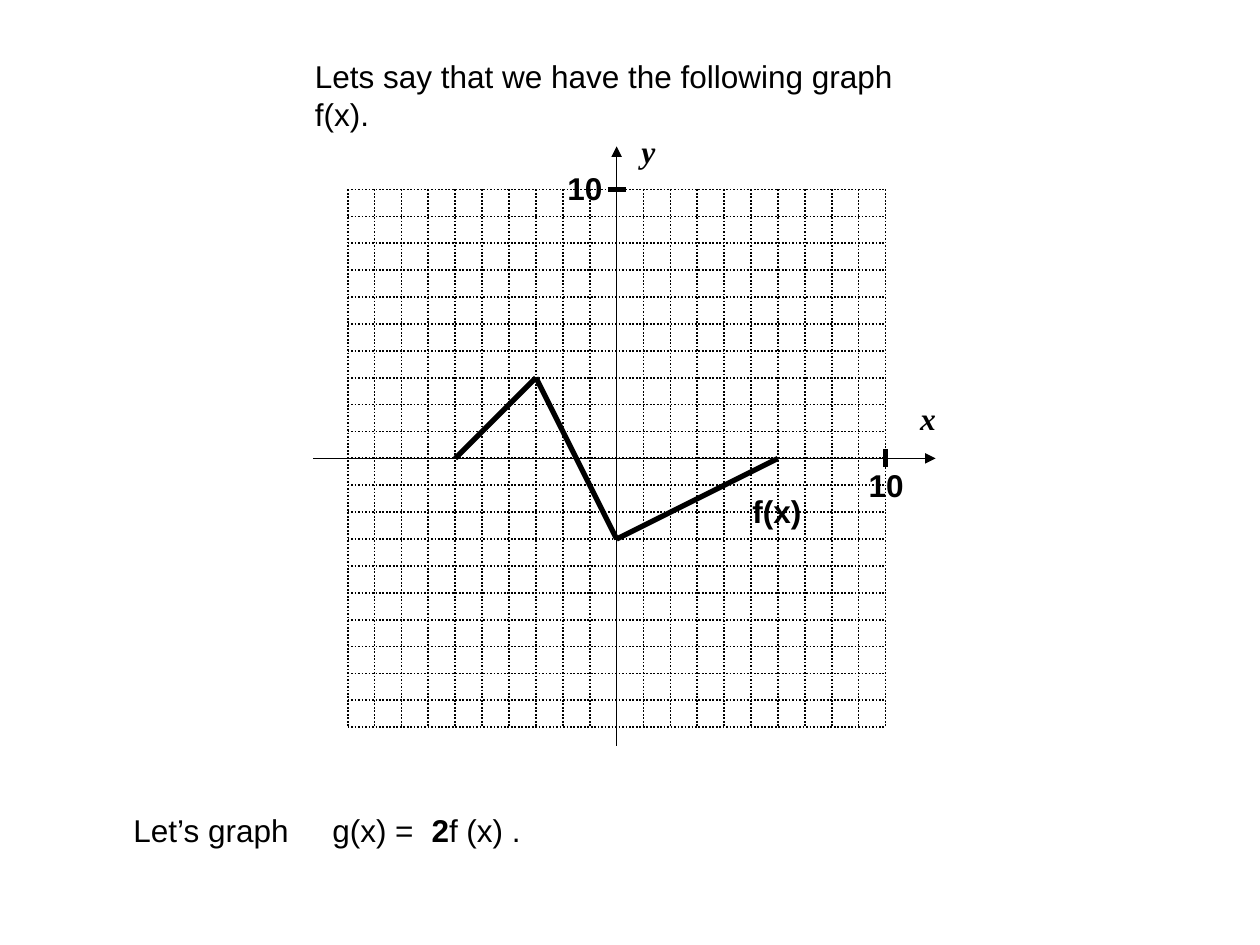
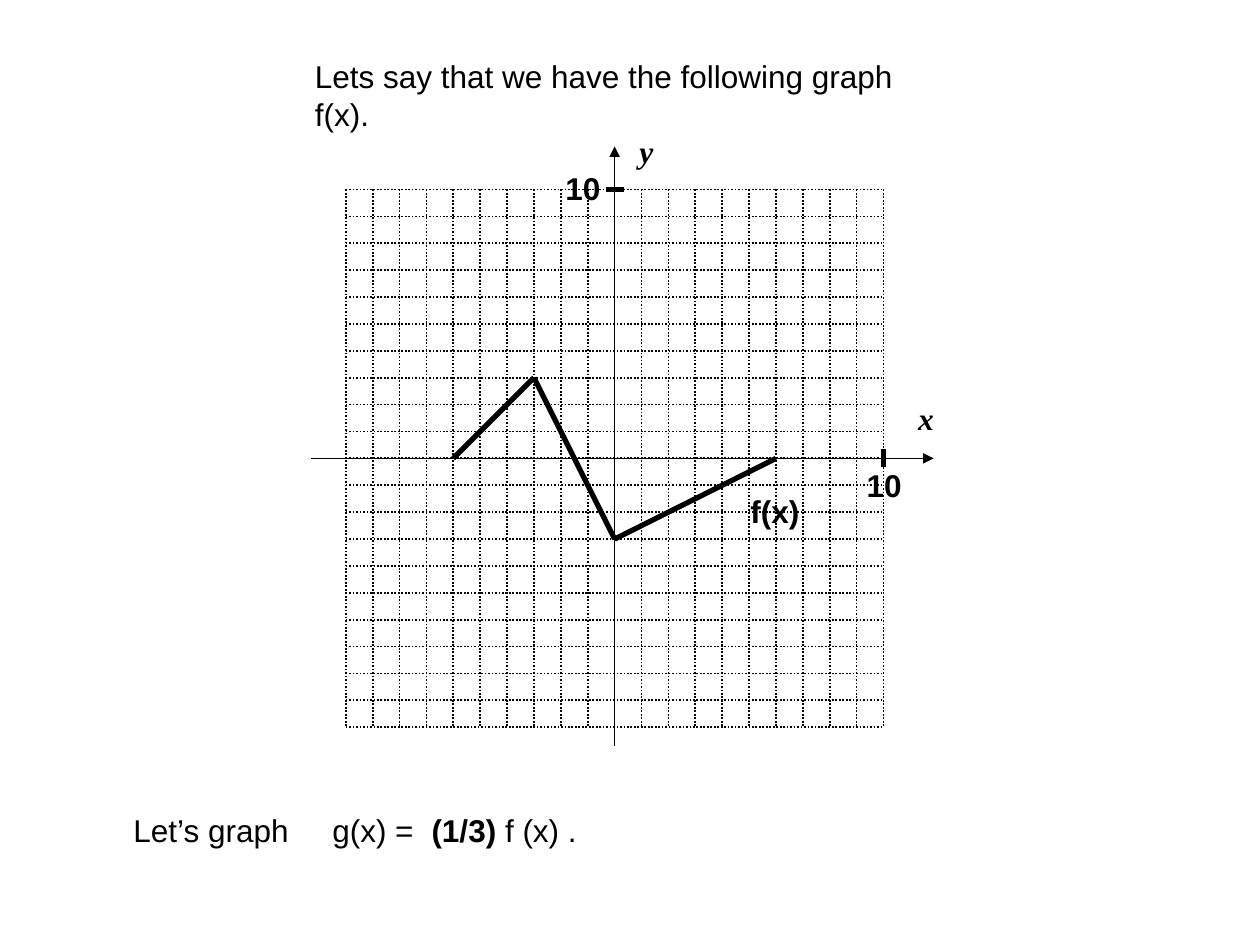
from dataclasses import dataclass

from lxml.etree import SubElement
from pptx import Presentation
from pptx.dml.color import RGBColor
from pptx.enum.dml import MSO_LINE
from pptx.enum.shapes import MSO_CONNECTOR as Connector
from pptx.enum.text import MSO_AUTO_SIZE as AutoSize
from pptx.oxml.ns import qn
from pptx.util import Cm, Pt


@dataclass(frozen=True)
class Theme:
    ink: RGBColor = RGBColor(0, 0, 0)
    paper: RGBColor = RGBColor(255, 255, 255)
    sans: str = "Arial"
    serif: str = "Times New Roman"
    text_size: float = 18
    bold_line: float = 3
    grid_line: float = 1
    axis_line: float = 0.75


THEME = Theme()

# Coordinate plane, in cm; y grows upwards in graph units
LIMIT = 10
UNIT = 10.84 / (2 * LIMIT)
ORIGIN_Y = 9.24
TICK = 0.18
LINE_HEIGHT = 1.02
F_POINTS = [(-6, 0), (-3, 3), (0, -3), (6, 0)]

# Label text, offset from the origin, width, format
AXIS_NAME = dict(bold=True, italic=True, font=THEME.serif)
PLANE_LABELS = [
    ("y", 0.25, -6.7, 0.79, AXIS_NAME),
    ("x", 5.87, -1.32, 0.81, AXIS_NAME),
    ("10", 4.83, 0.03, 1.22, dict(bold=True)),
    ("10", -1.24, -5.96, 1.22, dict(bold=True)),
    ("f(x)", 2.49, 0.56, 1.5, dict(bold=True)),
]

# Factor of f(x), rest of the formula, formula width, origin x
EXERCISES = [
    ("2", "f (x) .", 8.5, 12.43),
    ("(1/3)", " f (x) .", 9.6, 12.39),
]
FORMULA_TABS = (4.01, 6.01)


def add_run(paragraph, text, *, bold=False, italic=False, font=THEME.sans):
    run = paragraph.add_run()
    run.text = text
    run.font.name, run.font.size = font, Pt(THEME.text_size)
    run.font.bold, run.font.italic = bold, italic
    run.font.color.rgb = THEME.ink


class GraphSlide:
    """Current slide with its style and the origin of its plane."""

    def __init__(self, deck, origin_x):
        self.slide = deck.slides.add_slide(deck.slide_layouts[6])
        self.slide.background.fill.solid()
        self.slide.background.fill.fore_color.rgb = THEME.paper
        self.shapes = self.slide.shapes
        self.origin_x = origin_x

    def text(self, left, top, width, runs, tabs=()):
        box = self.shapes.add_textbox(Cm(left), Cm(top), Cm(width), Cm(LINE_HEIGHT))
        frame = box.text_frame
        frame.word_wrap = bool(tabs)
        frame.auto_size = AutoSize.SHAPE_TO_FIT_TEXT
        paragraph = frame.paragraphs[0]
        for content, style in runs:
            add_run(paragraph, content, **style)
        if tabs:
            stops = SubElement(paragraph._p.get_or_add_pPr(), qn("a:tabLst"))
            for stop in tabs:
                SubElement(stops, qn("a:tab"), pos=str(Cm(stop)), algn="l")

    def line(self, start, end, width, *, dash=None, arrow=False, group=None):
        """Draw a line between two offsets from the origin, in cm."""
        ends = [Cm(base + offset) for point in (start, end)
                for base, offset in zip((self.origin_x, ORIGIN_Y), point)]
        parent = group.shapes if group is not None else self.shapes
        stroke = parent.add_connector(Connector.STRAIGHT, *ends)
        stroke.line.color.rgb = THEME.ink
        stroke.line.width = Pt(width)
        if dash is not None:
            stroke.line.dash_style = dash
        if arrow:
            SubElement(stroke.line._get_or_add_ln(), qn("a:headEnd"), type="triangle")
        SubElement(stroke._element.spPr, qn("a:effectLst"))

    def curve(self, points):
        group = self.shapes.add_group_shape()
        places = [(x * UNIT, -y * UNIT) for x, y in points]
        for start, end in zip(places, places[1:]):
            self.line(start, end, THEME.bold_line, group=group)

    def grid(self):
        group = self.shapes.add_group_shape()
        edge = LIMIT * UNIT
        steps = [step * UNIT for step in range(-LIMIT, LIMIT + 1)]
        rules = [((at, -edge), (at, edge)) for at in steps]
        rules += [((-edge, at), (edge, at)) for at in reversed(steps)]
        for start, end in rules:
            self.line(start, end, THEME.grid_line, dash=MSO_LINE.ROUND_DOT, group=group)

    def axes(self):
        edge = LIMIT * UNIT
        self.line((0, -6.29), (0, 5.8), THEME.axis_line, arrow=True)
        self.line((6.43, 0), (-6.12, 0), THEME.axis_line, arrow=True)
        self.line((edge, -TICK), (edge, TICK), THEME.bold_line)
        self.line((-TICK, -edge), (TICK, -edge), THEME.bold_line)

    def labels(self):
        for name, dx, dy, width, style in PLANE_LABELS:
            self.text(self.origin_x + dx, ORIGIN_Y + dy, width, [(name, style)])


def build_exercise(deck, factor, rest, formula_width, origin_x):
    page = GraphSlide(deck, origin_x)
    # Statement
    page.text(6.1, 1.02, 13.41,
              [("Lets say that we have the following graph f(x).", {})])
    # Graph of f
    page.curve(F_POINTS)
    page.grid()
    page.axes()
    page.labels()
    # Function to be graphed
    formula = [("Let’s graph\tg(x) =\t", {}), (factor, dict(bold=True)), (rest, {})]
    page.text(2.44, 16.23, formula_width, formula, tabs=FORMULA_TABS)


def main():
    deck = Presentation()
    deck.slide_width, deck.slide_height = Cm(25.4), Cm(19.05)
    for exercise in EXERCISES:
        build_exercise(deck, *exercise)
    deck.save("out.pptx")


if __name__ == "__main__":
    main()
